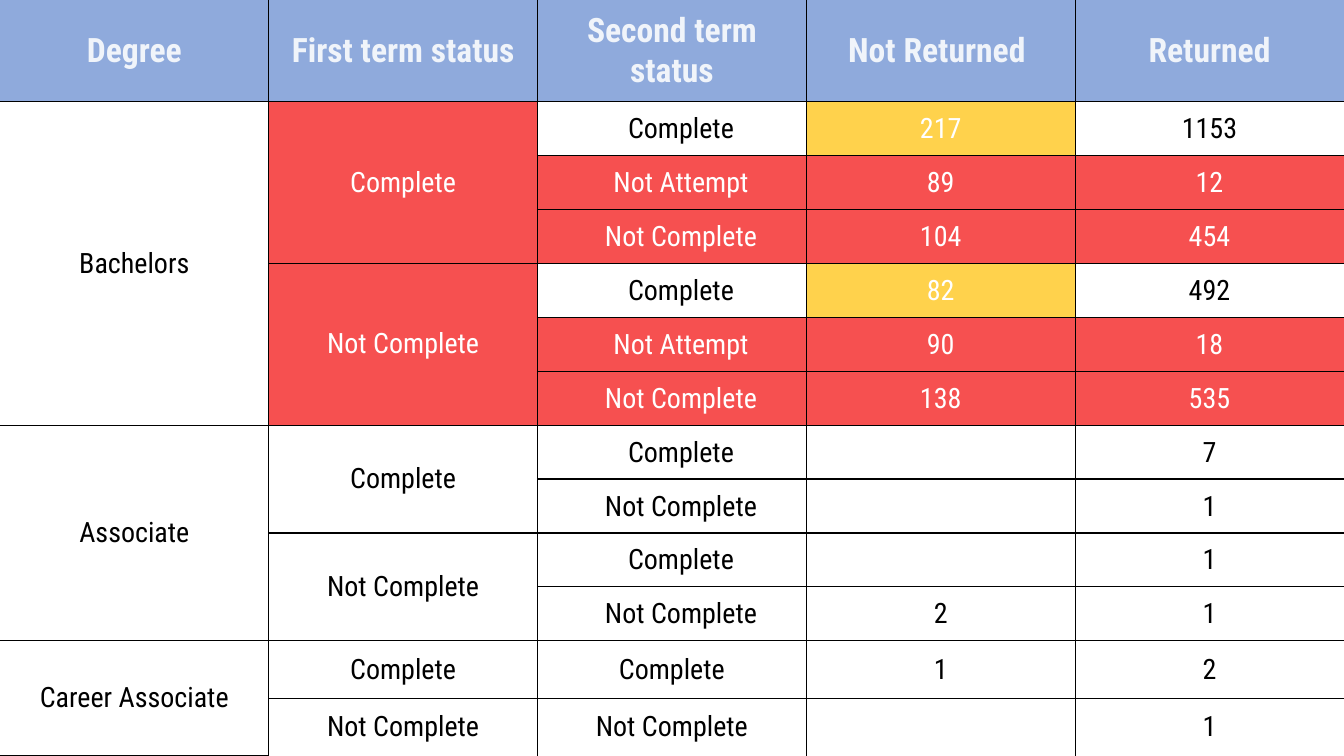
from lxml import etree
from pptx import Presentation
from pptx.dml.color import RGBColor
from pptx.enum.text import MSO_ANCHOR as Anchor, PP_ALIGN as Align
from pptx.oxml.ns import qn
from pptx.util import Inches, Pt

HEADS = ["Degree", "First term status", "Second term status",
         "Not Returned ", "Returned"]
# degree: {first term status: [(second term status, not returned, returned)]}
GROUPS = {
    "Bachelors": {
        "Complete": [("Complete", "217", "1153"),
                     ("Not Attempt", "89", "12"),
                     ("Not Complete", "104", "454")],
        "Not Complete": [("Complete", "82", "492"),
                         ("Not Attempt", "90", "18"),
                         ("Not Complete", "138", "535")],
    },
    "Associate": {
        "Complete": [("Complete", "", "7"), ("Not Complete", "", "1")],
        "Not Complete": [("Complete", "", "1"), ("Not Complete", "2", "1")],
    },
    "Career Associate": {
        "Complete": [("Complete", "1", "2")],
        "Not Complete": [("Not Complete", "", "1")],
    },
}
FONT = "Roboto Condensed"
BLUE = RGBColor(0x8F, 0xAA, 0xDC)
RED = RGBColor(0xF6, 0x50, 0x50)
GOLD = RGBColor(0xFF, 0xC0, 0x00)
PALE = RGBColor(0xF0, 0xF4, 0xFA)
WHITE = RGBColor(0xFF, 0xFF, 0xFF)
BLACK = RGBColor(0, 0, 0)
WIDE, HIGH = 13.33, 7.5
HEAD_H, LAST_H = 1.01, 0.57

rows = [HEADS]
spans = []  # (column, first row, last row)
for degree, terms in GROUPS.items():
    top = len(rows)
    for first, items in terms.items():
        start = len(rows)
        rows += [[degree, first, *item] for item in items]
        spans.append((1, start, len(rows) - 1))
    spans.append((0, top, len(rows) - 1))
COUNT, COLS = len(rows), len(HEADS)
TAIL = COUNT - 2  # the last two rows are taller
BODY_H = (HIGH - HEAD_H - 2 * LAST_H) / (COUNT - 3)


def pick_fill(r, c):
    """Blue head; in Bachelors, red for risk and gold for lost completers."""
    if r == 0:
        return BLUE
    if rows[r][0] != "Bachelors" or c == 0:
        return None
    if c == 1 or rows[r][2] != "Complete":
        return RED
    return GOLD if c == 3 else None


def set_edges(cell, r, c):
    """Black lines between cells, none around the table."""
    inner = {"L": c > 0, "R": c < COLS - 1, "T": r > 0, "B": r < COUNT - 1}
    props = cell._tc.get_or_add_tcPr()
    for i, (side, shown) in enumerate(inner.items()):
        line = etree.Element(qn("a:ln" + side), w=str(Pt(1)))
        props.insert(i, line)
        if shown:
            fill = etree.SubElement(line, qn("a:solidFill"))
            etree.SubElement(fill, qn("a:srgbClr"), val=str(BLACK))
        else:
            etree.SubElement(line, qn("a:noFill"))


def set_cell(cell, r, c):
    fill = pick_fill(r, c)
    if fill is None:
        cell.fill.background()
    else:
        cell.fill.solid()
        cell.fill.fore_color.rgb = fill
    if fill == GOLD:
        tint = cell._tc.tcPr.find(".//" + qn("a:srgbClr"))
        etree.SubElement(tint, qn("a:alpha"), val="70000")
    set_edges(cell, r, c)
    cell.vertical_anchor = Anchor.MIDDLE
    if 0 < r and (c > 2 or c == 2 and r < TAIL):
        cell.margin_left = Inches(0.19 if c == 2 else 0.01)
        cell.margin_right = cell.margin_top = Inches(0.01)
        cell.margin_bottom = 0
    if cell.is_spanned or not rows[r][c]:
        return
    cell.text_frame.text = rows[r][c]
    para = cell.text_frame.paragraphs[0]
    para.alignment = Align.CENTER
    font = para.runs[0].font
    font.name = FONT
    font.size = Pt(24 if r == 0 else 20)
    font.bold = r == 0
    font.color.rgb = PALE if r == 0 else WHITE if fill else BLACK


deck = Presentation()
deck.slide_width, deck.slide_height = Inches(WIDE), Inches(HIGH)
slide = deck.slides.add_slide(deck.slide_layouts[6])
table = slide.shapes.add_table(COUNT, COLS, 0, 0,
                               Inches(WIDE), Inches(HIGH)).table
table.first_row = table.horz_banding = False
for col in table.columns:
    col.width = Inches(WIDE / COLS)
for r, row in enumerate(table.rows):
    row.height = Inches(HEAD_H if r == 0 else LAST_H if r >= TAIL else BODY_H)
for c, start, end in spans:
    if end > start:
        table.cell(start, c).merge(table.cell(end, c))
for r in range(COUNT):
    for c in range(COLS):
        set_cell(table.cell(r, c), r, c)

deck.save("out.pptx")
